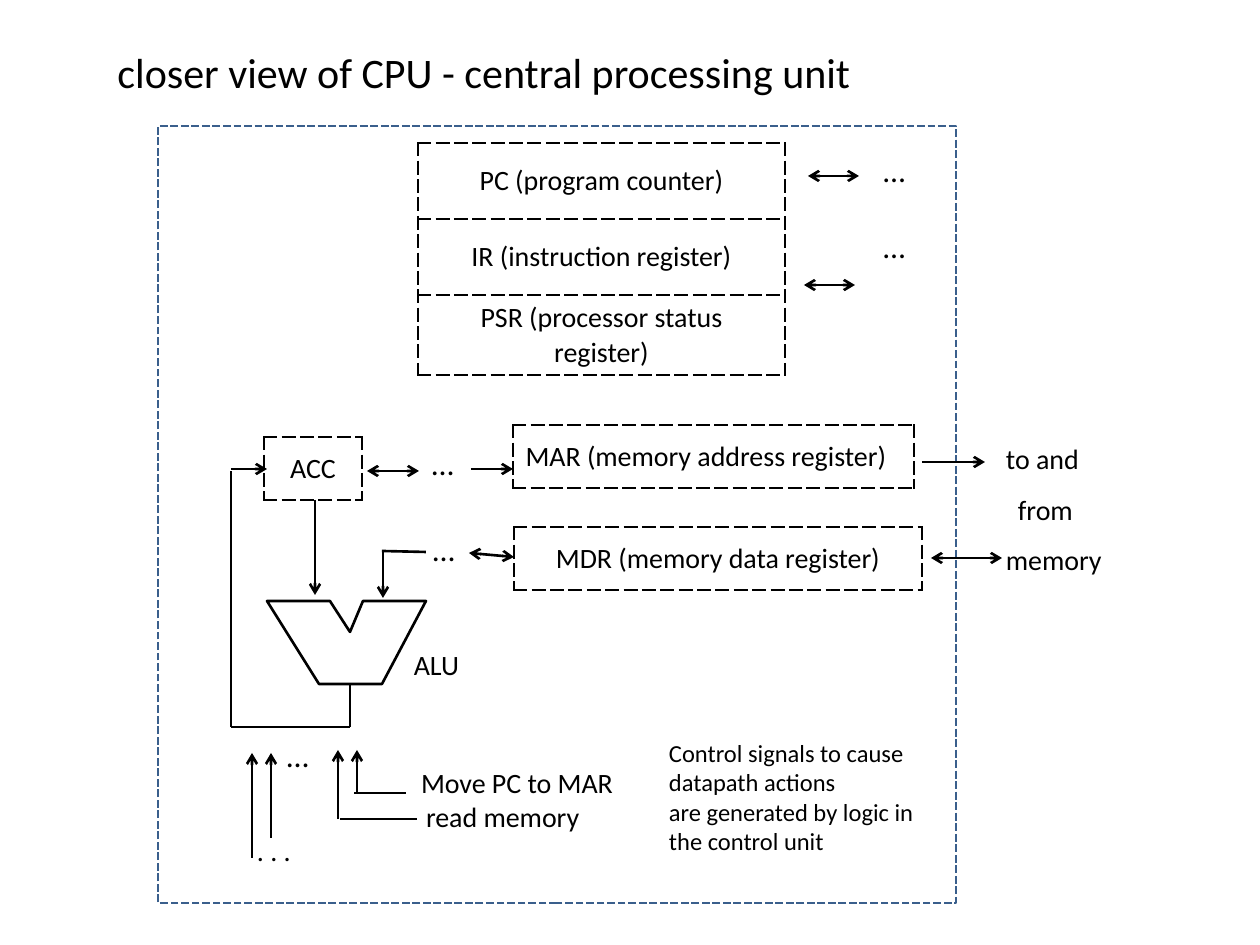
import pptx
import pptx.dml.color
import pptx.enum.dml
import pptx.enum.shapes
import pptx.enum.text
import pptx.oxml.ns
import pptx.util
import lxml.etree

PX = 914400 / 126
FONT = "Calibri"
COLORS = {"ink": "000000", "frame": "3A5F8C"}
ALIGN = pptx.enum.text.PP_ALIGN
ANCHOR = pptx.enum.text.MSO_ANCHOR
qn = pptx.oxml.ns.qn


def px(value):
    return pptx.util.Emu(round(value * PX))


def color(name):
    return pptx.dml.color.RGBColor.from_string(COLORS[name])


def style_line(line, name="ink", dash=None):
    line.color.rgb = color(name)
    line.width = pptx.util.Pt(1.5)
    if dash:
        line.dash_style = dash


def add_span(para, text, size):
    span = para.add_run()
    span.text = text
    span.font.name = FONT
    span.font.size = pptx.util.Pt(size)
    span.font.color.rgb = color("ink")


def add_text(slide, x, y, width, height, lines, size=16, inset=0, anchor=ANCHOR.TOP):
    box = slide.shapes.add_textbox(px(x), px(y), px(width), px(height))
    frame = box.text_frame
    frame.word_wrap = True
    frame.vertical_anchor = anchor
    frame.margin_left = frame.margin_right = px(inset)
    frame.margin_top = frame.margin_bottom = px(inset / 2)
    for index, text in enumerate(lines):
        para = frame.paragraphs[0] if index == 0 else frame.add_paragraph()
        add_span(para, text, size)
    return frame.paragraphs


def add_arrow(slide, x1, y1, x2, y2, heads=""):
    arrow = slide.shapes.add_connector(
        pptx.enum.shapes.MSO_CONNECTOR.STRAIGHT, px(x1), px(y1), px(x2), px(y2))
    style_line(arrow.line)
    line = arrow.line._get_or_add_ln()
    for end, tag in (("<", "a:headEnd"), (">", "a:tailEnd")):
        if end in heads:
            lxml.etree.SubElement(line, qn(tag), type="arrow")
    lxml.etree.SubElement(arrow._element.spPr, qn("a:effectLst"))


def set_borders(cell, visible):
    properties = cell._tc.get_or_add_tcPr()
    for side in "LRTB":
        border = lxml.etree.SubElement(properties, qn(f"a:ln{side}"), w="12700")
        if visible:
            fill = lxml.etree.SubElement(border, qn("a:solidFill"))
            lxml.etree.SubElement(fill, qn("a:srgbClr"), val=COLORS["ink"])
            lxml.etree.SubElement(border, qn("a:prstDash"), val="sysDash")
        else:
            lxml.etree.SubElement(border, qn("a:noFill"))


def add_registers(slide, x, y, width, row_height, names, align=ALIGN.CENTER, bordered=True):
    table = slide.shapes.add_table(
        len(names), 1, px(x), px(y), px(width), px(row_height * len(names))).table
    table.first_row = False
    table.horz_banding = False
    for row, name in enumerate(names):
        cell = table.cell(row, 0)
        set_borders(cell, bordered)
        cell.fill.background()
        cell.vertical_anchor = ANCHOR.MIDDLE
        para = cell.text_frame.paragraphs[0]
        para.alignment = align
        add_span(para, name, 16)


def add_frame(slide):
    frame = slide.shapes.add_shape(
        pptx.enum.shapes.MSO_SHAPE.RECTANGLE, px(158), px(126), px(798), px(777))
    frame.shadow.inherit = False
    frame.fill.background()
    style_line(frame.line, "frame", pptx.enum.dml.MSO_LINE.SQUARE_DOT)


def add_alu(slide):
    points = [(267, 601), (330, 601), (350, 632), (363, 601),
              (426, 601), (382, 684), (319, 684)]
    builder = slide.shapes.build_freeform(*points[0], scale=PX)
    builder.add_line_segments(points[1:], close=True)
    outline = builder.convert_to_shape()
    outline.shadow.inherit = False
    outline.fill.background()
    style_line(outline.line)
    add_registers(slide, 397, 643, 79, 42, ["ALU"], bordered=False)


def add_datapath(slide):
    for line in [
        (808, 176, 859, 176, "<>"),
        (804, 285, 855, 285, "<>"),
        (367, 471, 419, 471, "<>"),
        (471, 469, 513, 469, ">"),
        (922, 462, 985, 462, ">"),
        (931, 558, 1002, 558, "<>"),
        (469, 553, 514, 557, "<>"),
        (426, 552, 382, 551),
        (383, 552, 383, 598, ">"),
        (315, 500, 315, 595, ">"),
        (350, 684, 350, 727),
        (350, 727, 231, 727),
        (231, 727, 231, 471),
        (231, 469, 267, 469, ">"),
    ]:
        add_arrow(slide, *line)


def add_control_signals(slide):
    for x, bottom, top in [(252, 858, 753), (271, 838, 753), (338, 819, 750), (357, 794, 750)]:
        add_arrow(slide, x, bottom, x, top, ">")
    add_arrow(slide, 406, 793, 354, 793)
    add_arrow(slide, 417, 819, 340, 819)
    add_text(slide, 421, 766, 209, 34, ["Move PC to MAR"])
    add_text(slide, 426, 800, 173, 34, ["read memory"])
    add_text(slide, 257, 834, 62, 34, [". . ."])
    add_text(slide, 669, 738, 262, 118, [
        "Control signals to cause datapath actions",
        "are generated by logic in the control unit"], size=14)


def main():
    deck = pptx.Presentation()
    deck.slide_width, deck.slide_height = px(1260), px(945)
    slide = deck.slides.add_slide(deck.slide_layouts[6])

    add_text(slide, 105, 38, 1092, 67, ["closer view of CPU - central processing unit"],
             size=24, inset=12.6, anchor=ANCHOR.MIDDLE)
    add_registers(slide, 418, 143, 367, 76, [
        "PC (program counter)", "IR (instruction register)",
        "PSR (processor status register)"])
    add_frame(slide)
    add_registers(slide, 264, 437, 98, 63, ["ACC"])
    add_registers(slide, 513, 425, 401, 63, ["MAR (memory address register)"], ALIGN.LEFT)
    add_registers(slide, 514, 527, 408, 63, ["MDR (memory data register)"])

    dots = add_text(slide, 871, 145, 73, 127, ["…", "…"], size=18, inset=12.6)
    dots[1].space_before = pptx.util.Pt(22)
    for x, y in [(432, 444), (433, 530), (287, 736)]:
        add_text(slide, x, y, 37, 38, ["…"], size=18)
    memory = add_text(slide, 1006, 425, 126, 152, ["to and", "from", "memory"])
    for para in memory:
        para.line_spacing = 1.5
    memory[1]._p.get_or_add_pPr().set("marL", str(px(12)))

    add_datapath(slide)
    add_alu(slide)
    add_control_signals(slide)
    deck.save("out.pptx")


if __name__ == "__main__":
    main()
